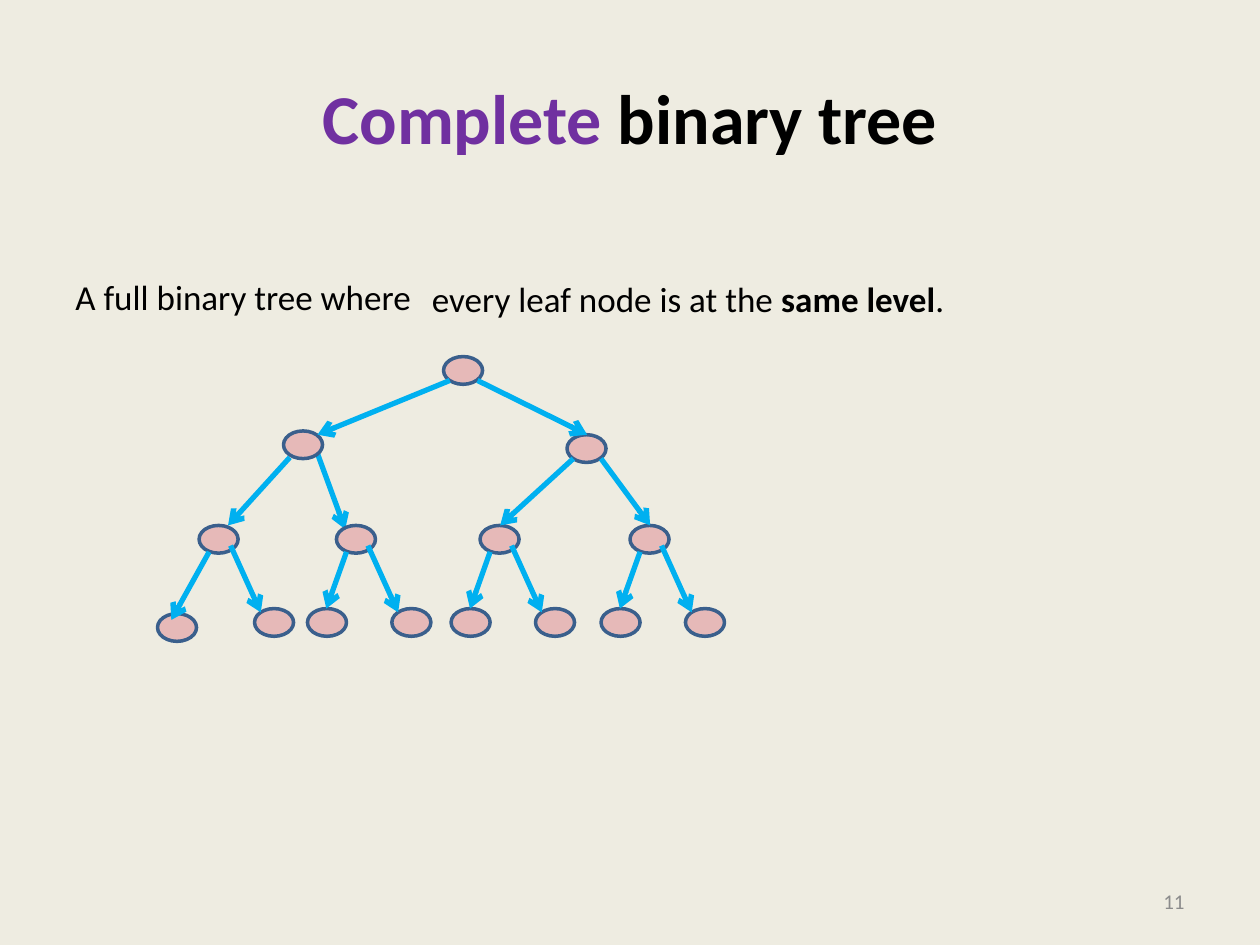
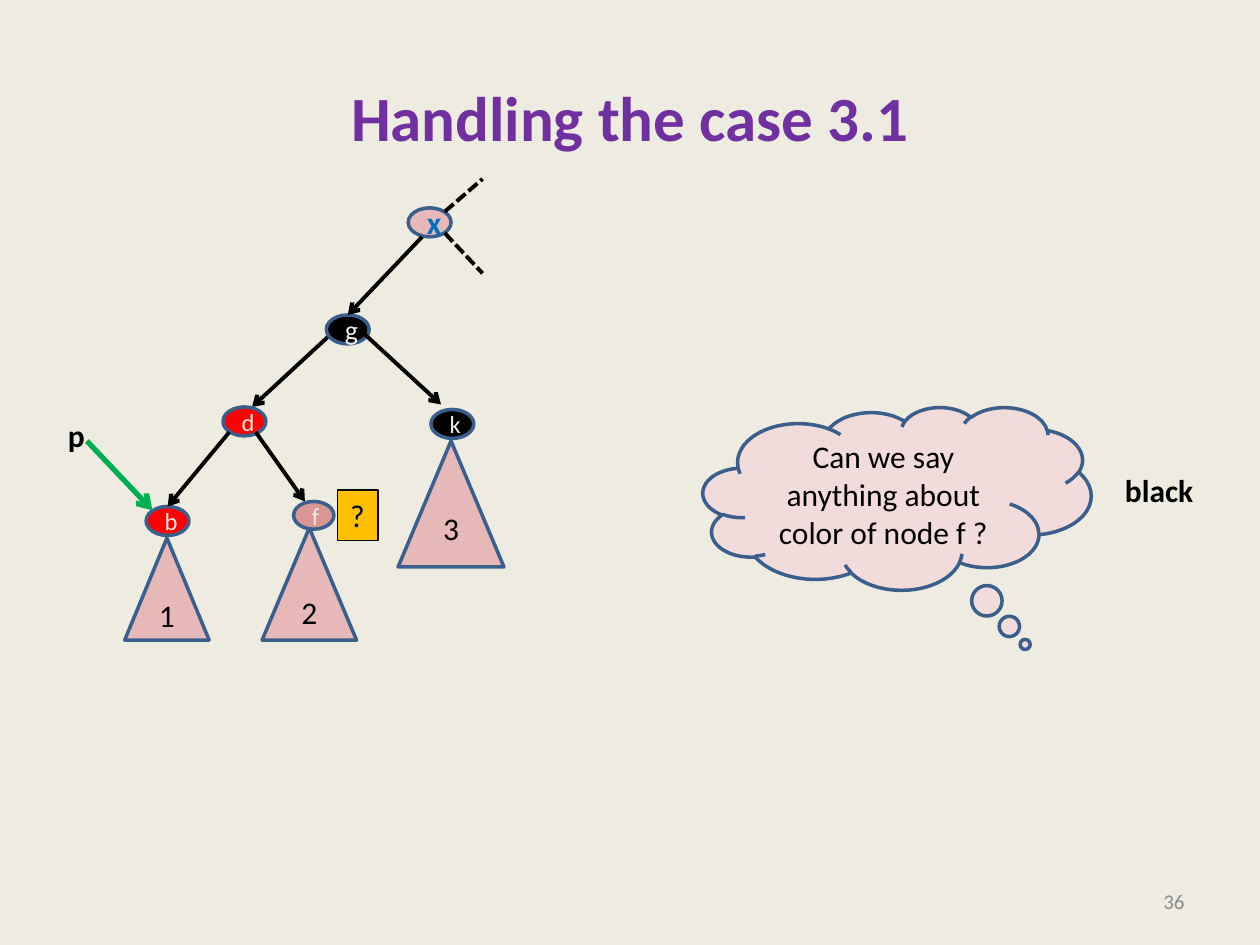
import pptx
import pptx.util
import pptx.dml.color
import pptx.enum.dml
import pptx.enum.shapes
import pptx.enum.text
import pptx.oxml.ns
import lxml.etree

Inches = pptx.util.Inches
Pt = pptx.util.Pt
Shape = pptx.enum.shapes.MSO_SHAPE
Align = pptx.enum.text.PP_ALIGN
Anchor = pptx.enum.text.MSO_ANCHOR
Fit = pptx.enum.text.MSO_AUTO_SIZE

HUES = {
    "paper": "EEECE1", "ink": "000000", "purple": "7030A0", "gray": "8C8C8C",
    "pink": "E6B9B8", "rose": "D99694", "pale": "F2DCDB", "edge": "3A5F8C",
    "sky": "00B0F0", "blue": "0070C0", "red": "FF0000", "green": "00B050",
    "gold": "FFC000",
}


def hue(name):
    return pptx.dml.color.RGBColor.from_string(HUES[name])


class Deck:
    """Holds the style and the current slide."""
    font = "Calibri"

    def __init__(self):
        self.file = pptx.Presentation()
        self.file.slide_width = Inches(10)
        self.file.slide_height = Inches(7.5)
        self.slide = None

    def start(self, title, size, page):
        """Add a slide with its ground, title and page number."""
        self.slide = self.file.slides.add_slide(self.file.slide_layouts[6])
        ground = self.slide.background.fill
        ground.solid()
        ground.fore_color.rgb = hue("paper")
        self.text((0.5, 0.3, 9, 1.25), title, size, Align.CENTER, Anchor.MIDDLE)
        self.text((7.17, 6.95, 2.33, 0.4), [(page, "gray", False)], 12,
                  Align.RIGHT, Anchor.MIDDLE)

    def letter(self, frame, runs, size, align):
        """Fill a frame with runs of (words, colour, bold)."""
        para = frame.paragraphs[0]
        para.alignment = align
        for words, tint, bold in runs:
            run = para.add_run()
            run.text = words
            run.font.name = self.font
            run.font.size = Pt(size)
            run.font.bold = bold
            run.font.color.rgb = hue(tint)

    def text(self, area, runs, size, align=Align.LEFT, anchor=Anchor.TOP, wrap=True):
        box = self.slide.shapes.add_textbox(*map(Inches, area))
        frame = box.text_frame
        frame.word_wrap = wrap
        frame.auto_size = Fit.NONE if wrap else Fit.SHAPE_TO_FIT_TEXT
        frame.vertical_anchor = anchor
        self.letter(frame, runs, size, align)
        return box

    def label(self, area, words, bold=True):
        return self.text(area, [(words, "ink", bold)], 18, wrap=False)

    def paint(self, shape, fill, line, width):
        shape.fill.solid()
        shape.fill.fore_color.rgb = hue(fill)
        shape.line.color.rgb = hue(line)
        shape.line.width = Pt(width)

    def shape(self, kind, area, fill="pink", runs=(), size=18):
        item = self.slide.shapes.add_shape(kind, *map(Inches, area))
        item.shadow.inherit = False
        self.paint(item, fill, "edge", 2)
        item.text_frame.vertical_anchor = Anchor.MIDDLE
        self.letter(item.text_frame, runs, size, Align.CENTER)
        return item

    def line(self, ends, tint="ink", width=2.25, dash=False):
        """Draw an arrow, or a dashed line without a head."""
        item = self.slide.shapes.add_connector(
            pptx.enum.shapes.MSO_CONNECTOR.STRAIGHT, *map(Inches, ends))
        item.line.color.rgb = hue(tint)
        item.line.width = Pt(width)
        qn = pptx.oxml.ns.qn
        props = item.element.spPr
        if dash:
            item.line.dash_style = pptx.enum.dml.MSO_LINE.SQUARE_DOT
        else:
            head = lxml.etree.SubElement(props.find(qn("a:ln")), qn("a:tailEnd"))
            head.set("type", "arrow")
        lxml.etree.SubElement(props, qn("a:effectLst"))


def full_tree(deck):
    deck.start([("Complete ", "purple", True), ("binary tree", "ink", True)], 40, "11")
    deck.text((0.5, 2.14, 2.95, 0.44), [("A full binary tree where", "ink", False)], 20)
    deck.text((3.33, 2.15, 4.42, 0.44),
              [("every leaf node is at the ", "ink", False),
               ("same level", "ink", True), (".", "ink", False)], 20, wrap=False)

    def node(left, top):
        deck.shape(Shape.OVAL, (left, top, 0.31, 0.22))

    def arrow(*ends):
        deck.line(ends, "sky", 3)

    # Root and second level
    arrow(2.52, 3.6, 2.74, 4.2)
    for spot in ((3.52, 2.83), (2.25, 3.42), (4.5, 3.45)):
        node(*spot)

    # Third level, each node with two leaves
    for left in (1.58, 2.67, 3.81, 5):
        first = left == 1.58
        shift, drop = (0.1, 0.04) if first else (0, 0)
        node(left, 4.17)
        node(left - 0.23 - shift, 4.83 + drop)
        node(left + 0.44, 4.83)
        tip = (left - 0.22, 4.92) if first else (left - 0.08, 4.83)
        arrow(left + 0.08, 4.38, *tip)
        arrow(left + 0.25, 4.33, left + 0.49, 4.86)

    # Upper arrows
    for ends in ((3.79, 3.02, 4.66, 3.45), (3.57, 3.02, 2.52, 3.45),
                 (2.3, 3.63, 1.81, 4.17), (4.55, 3.64, 3.97, 4.17),
                 (4.77, 3.64, 5.16, 4.17)):
        arrow(*ends)


def case_tree(deck):
    deck.start([("Handling the case 3.1", "purple", True)], 36, "36")

    def node(name, left, top, fill, size=14, tint="paper", wide=0.34, high=0.23):
        deck.shape(Shape.OVAL, (left, top, wide, high), fill,
                   [(name, tint, name == "x")], size)

    # Nodes and arrows
    deck.line((2.65, 2.63, 2, 3.23))
    node("g", 2.59, 2.5, "ink", 16)
    node("d", 1.77, 3.23, "red")
    node("x", 3.24, 1.65, "pink", 18, "blue")
    node("b", 1.16, 4.02, "red")
    node("k", 3.42, 3.25, "ink")
    for ends in ((2.87, 2.63, 3.5, 3.21), (1.82, 3.43, 1.33, 4.02),
                 (3.35, 1.88, 2.76, 2.5), (2.03, 3.43, 2.42, 3.98)):
        deck.line(ends)
    for ends in ((3.53, 1.68, 3.83, 1.42), (3.53, 1.85, 3.83, 2.17)):
        deck.line(ends, dash=True)

    # Subtrees
    for name, area in (("2", (2.08, 4.19, 0.75, 0.89)),
                       ("1", (0.99, 4.27, 0.67, 0.81)),
                       ("3", (3.16, 3.5, 0.84, 1))):
        tree = deck.shape(Shape.ISOSCELES_TRIANGLE, area, runs=[(name, "ink", False)])
        if name == "3":
            tree.text_frame.margin_bottom = Inches(0.17)
    node("f", 2.33, 3.98, "rose", wide=0.32, high=0.22)

    # Pointer p
    deck.line((0.69, 3.5, 1.21, 4.05), "green", 3)
    deck.label((0.44, 3.25, 0.34, 0.4), "p")

    # Question and answer
    cloud = deck.shape(Shape.CLOUD_CALLOUT, (5.58, 3.23, 3.08, 1.45), "pale",
                       [("Can we say anything about color of node f ?", "ink", False)])
    cloud.adjustments[0] = 0.33
    cloud.adjustments[1] = 0.8
    deck.label((8.83, 3.69, 0.75, 0.4), "black")
    mark = deck.label((2.68, 3.89, 0.32, 0.4), "?", False)
    deck.paint(mark, "gold", "ink", 0.75)


def main():
    deck = Deck()
    full_tree(deck)
    case_tree(deck)
    deck.file.save("out.pptx")


if __name__ == "__main__":
    main()
